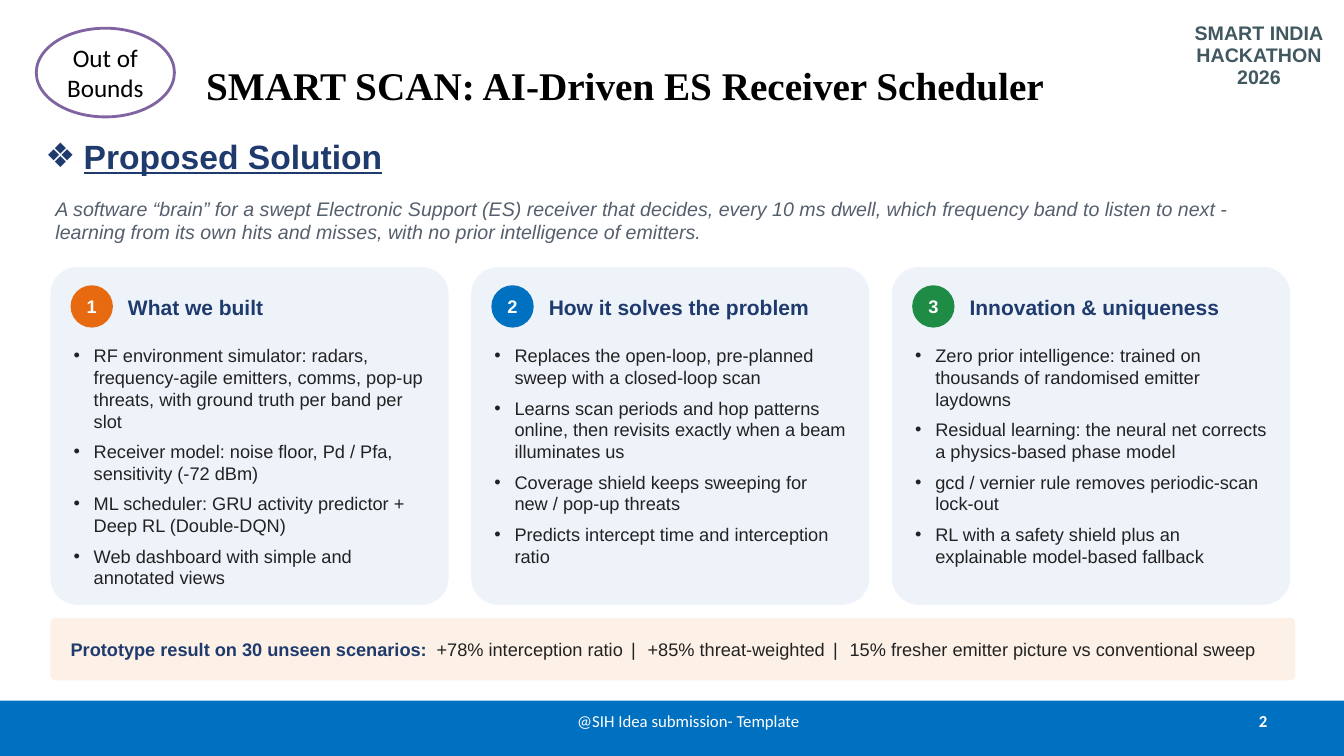
from lxml import etree
from pptx import Presentation, util as u
from pptx.dml.color import RGBColor
from pptx.enum import shapes, text
from pptx.oxml.ns import qn

INK = {
    "white": "FFFFFF", "black": "000000", "blue": "0070C0", "navy": "1F3B6E",
    "slate": "555F6D", "steel": "415861", "dark": "222222", "card": "EEF3FA",
    "cream": "FDF1E7", "orange": "E86A10", "green": "1E8C45", "purple": "8064A2",
}
CARDS = [
    ("What we built", "orange", [
        "RF environment simulator: radars, frequency-agile emitters, comms, "
        "pop-up threats, with ground truth per band per slot",
        "Receiver model: noise floor, Pd / Pfa, sensitivity (-72 dBm)",
        "ML scheduler: GRU activity predictor + Deep RL (Double-DQN)",
        "Web dashboard with simple and annotated views"]),
    ("How it solves the problem", "blue", [
        "Replaces the open-loop, pre-planned sweep with a closed-loop scan",
        "Learns scan periods and hop patterns online, then revisits exactly "
        "when a beam illuminates us",
        "Coverage shield keeps sweeping for new / pop-up threats",
        "Predicts intercept time and interception ratio"]),
    ("Innovation & uniqueness", "green", [
        "Zero prior intelligence: trained on thousands of randomised emitter laydowns",
        "Residual learning: the neural net corrects a physics-based phase model",
        "gcd / vernier rule removes periodic-scan lock-out",
        "RL with a safety shield plus an explainable model-based fallback"]),
]
RESULTS = ["+78% interception ratio", "+85% threat-weighted",
           "15% fresher emitter picture vs conventional sweep"]
KIND = shapes.MSO_SHAPE
TOP, MID, LOW = text.MSO_ANCHOR.TOP, text.MSO_ANCHOR.MIDDLE, text.MSO_ANCHOR.BOTTOM
LEFT, CENTER, RIGHT = text.PP_ALIGN.LEFT, text.PP_ALIGN.CENTER, text.PP_ALIGN.RIGHT

deck = Presentation()
deck.slide_width, deck.slide_height = u.Inches(13.333), u.Inches(7.5)
COL, ROW = deck.slide_width / 100, deck.slide_height / 100
slide = deck.slides.add_slide(deck.slide_layouts[4])
tree = slide.shapes


def paint(name):
    return RGBColor.from_string(INK[name])


def cells(x, y, w, h):
    return [round(v) for v in (x * COL, y * ROW, w * COL, h * ROW)]


def shape(kind, box, fill, line=None, curve=None):
    item = tree.add_shape(kind, *cells(*box))
    item.shadow.inherit = False
    item.fill.solid()
    item.fill.fore_color.rgb = paint(fill)
    if line:
        item.line.color.rgb = paint(line)
        item.line.width = u.Pt(2)
    else:
        item.line.fill.background()
    if curve:
        item.adjustments[0] = curve
    return item


def label(box):
    return tree.add_textbox(*cells(*box))


def holder(index, box):
    item = slide.placeholders[index]
    item.left, item.top, item.width, item.height = cells(*box)
    tree._spTree.append(item._element)
    return item


def frame(item, anchor=TOP, inset=0.05, wrap=True):
    body = item.text_frame
    body.auto_size = text.MSO_AUTO_SIZE.NONE
    body.word_wrap = wrap
    body.vertical_anchor = anchor
    if inset is not None:
        body.margin_left = body.margin_right = u.Inches(inset)
        body.margin_top = body.margin_bottom = u.Inches(inset)
    return body


def add_run(para, words, size, ink, bold=False, face="Arial", gap=0):
    run = para.add_run()
    run.text = words
    font = run.font
    font.size, font.name, font.bold = u.Pt(size), face, bold
    font.color.rgb = paint(ink)
    if gap:
        run._r.get_or_add_rPr().set("spc", str(gap))
    return run


def write(body, lines, size, ink, bold=False, face="Arial", align=LEFT,
          bullet=None, indent=0, after=0, pitch=1):
    for i, words in enumerate(lines):
        para = body.paragraphs[0] if i == 0 else body.add_paragraph()
        if bullet:
            props = para._p.get_or_add_pPr()
            props.set("marL", str(u.Inches(indent)))
            props.set("indent", str(-u.Inches(indent)))
            etree.SubElement(props, qn("a:buFont")).set("typeface", "Arial")
            etree.SubElement(props, qn("a:buChar")).set("char", bullet)
        para.alignment = align
        para.line_spacing = pitch
        para.space_before, para.space_after = u.Pt(0), u.Pt(after)
        run = add_run(para, words, size, ink, bold, face)
    return run


def footer(x, y, w, h):
    shape(KIND.RECTANGLE, (x, y, w, h), "blue")
    tag = frame(label((x + 38.1, y, 26.25, 5.33)), MID, None)
    write(tag, ["@SIH Idea submission- Template"], 12, "white",
          face="Calibri", align=CENTER)
    page = frame(label((x + 71.7, y, 23.33, 5.33)), MID, None)
    write(page, ["2"], 12, "white", True, "Calibri", RIGHT)


def header(x, y, w, h):
    title = frame(holder(0, (x + 1.5, y, 90, h)), LOW, None)
    title.margin_bottom = u.Inches(0.18)
    write(title, ["SMART SCAN: AI-Driven ES Receiver Scheduler"], 28, "black",
          True, "Times New Roman", CENTER)
    team = shape(KIND.OVAL, (x + 2.7, y + 3.73, 10.28, 11.73), "white", "purple")
    write(frame(team, MID, None), ["Out of Bounds"], 18, "black",
          face="Calibri", align=CENTER)
    event = frame(label((x + 88.43, y + 2.93, 10.5, 13.33)), inset=0, wrap=False)
    write(event, ["SMART INDIA", "HACKATHON", "2026"], 14, "steel", True,
          align=CENTER, pitch=0.95)


def opening(x, y, w, h):
    head = frame(holder(1, (x, y, w, 7.33)), inset=None)
    write(head, ["Proposed Solution"], 24, "navy", True, bullet="❖",
          indent=0.38).font.underline = True
    intro = frame(label((x + 1.12, y + 8, 92.25, h - 8)))
    write(intro, [
        "A software “brain” for a swept Electronic Support (ES) receiver that "
        "decides, every 10 ms dwell, which frequency band to listen to next - "
        "learning from its own hits and misses, with no prior intelligence of "
        "emitters."], 14, "slate").font.italic = True


def card(x, y, w, h, rank, head, ink, points):
    shape(KIND.ROUNDED_RECTANGLE, (x, y, w, h), "card", curve=0.08)
    badge = shape(KIND.OVAL, (x + 1.5, y + 2.4, 3.15, 5.6), ink)
    write(frame(badge, MID, 0), [str(rank)], 13, "white", True, align=CENTER)
    write(frame(label((x + 5.4, y + 2.27, 23.25, 6)), MID), [head], 15, "navy", True)
    block = holder(rank + 1, (x + 1.35, y + 9.6, 27.38, 34))
    write(frame(block), points, 13, "dark", bullet="•", indent=0.2, after=6)


def banner(x, y, w, h):
    shape(KIND.ROUNDED_RECTANGLE, (x, y, w, h), "cream", curve=0.08)
    body = frame(label((x + 1.13, y, w - 1.88, h)), MID)
    write(body, ["Prototype result on 30 unseen scenarios:"], 13, "navy", True)
    para = body.paragraphs[0]
    add_run(para, " ", 13, "dark", gap=360)
    for i, fact in enumerate(RESULTS):
        if i:
            add_run(para, " | ", 13, "dark", gap=240)
        add_run(para, fact, 13, "dark")


def main():
    footer(0, 92.67, 100, 7.33)
    header(0, 0, 100, 16.67)
    opening(2.63, 17.33, 94.5, 16.27)
    for i, parts in enumerate(CARDS):
        card(3.75 + 31.31 * i, 35.33, 29.63, 44.67, i + 1, *parts)
    banner(3.75, 81.73, 92.63, 8.27)
    deck.save("out.pptx")


if __name__ == "__main__":
    main()
